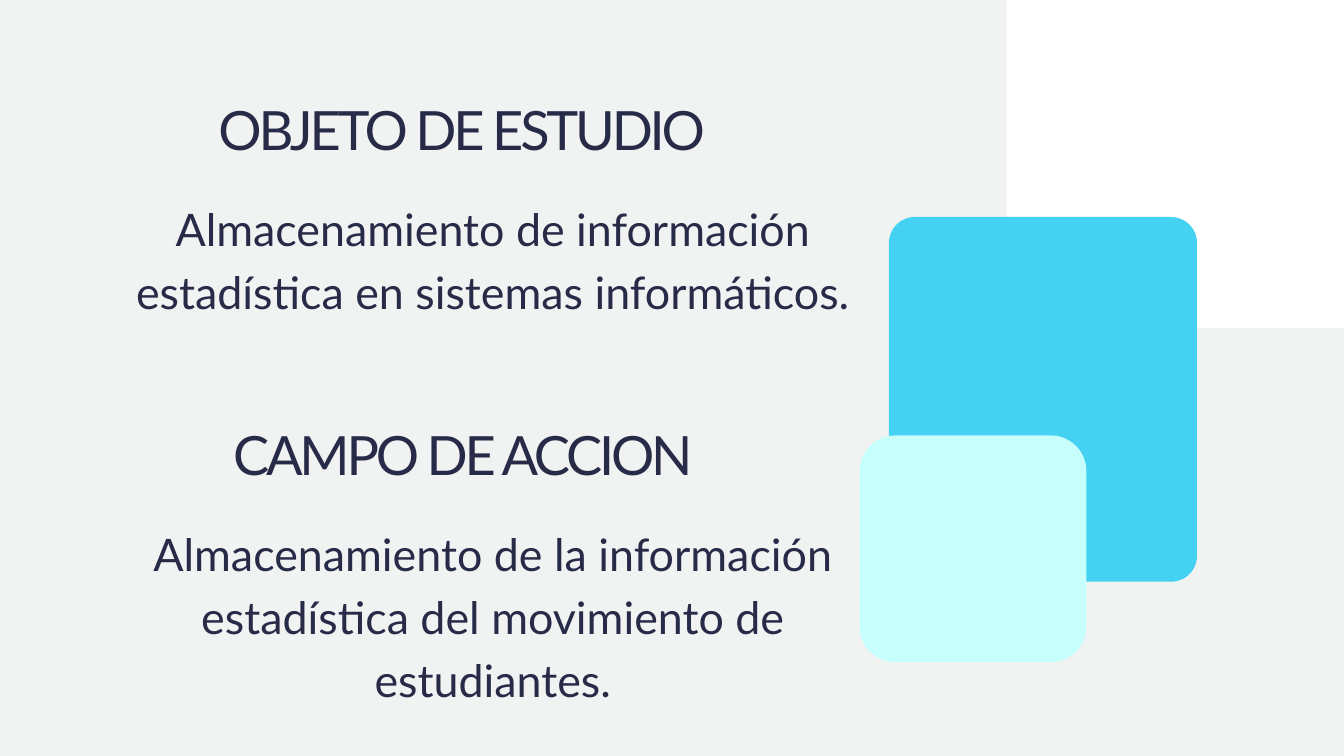
import pptx
import pptx.util
import pptx.dml.color
import pptx.enum.shapes
import pptx.enum.text

PX = 9525
NAVY = "272B47"


def color(value):
    return pptx.dml.color.RGBColor.from_string(value)


def write(tf, text, size=48, fill=NAVY, font="Lato", align="LEFT", leading=1.4, spacing=0):
    p = tf.paragraphs[0]
    p.alignment = getattr(pptx.enum.text.PP_ALIGN, align)
    p.line_spacing = pptx.util.Pt(round(size * leading, 1))
    r = p.add_run()
    r.text = text
    r.font.size = pptx.util.Pt(size)
    r.font.name = font
    r.font.color.rgb = color(fill)
    if spacing:
        r.font._element.set("spc", str(round(spacing * 100)))


class Deck:
    """Holds the presentation style and the current slide."""

    def __init__(self, width, height, background):
        self.prs = pptx.Presentation()
        self.prs.slide_width = width * PX
        self.prs.slide_height = height * PX
        self.s = self.prs.slides.add_slide(self.prs.slide_layouts[6])
        self.s.background.fill.solid()
        self.s.background.fill.fore_color.rgb = color(background)

    def card(self, x, y, w, h, radius, fill):
        sp = self.s.shapes.add_shape(
            pptx.enum.shapes.MSO_SHAPE.ROUNDED_RECTANGLE, x * PX, y * PX, w * PX, h * PX)
        sp.adjustments[0] = radius / min(w, h)
        sp.shadow.inherit = False
        sp.fill.solid()
        sp.fill.fore_color.rgb = color(fill)
        sp.line.fill.background()

    def text(self, x, y, w, h, text, **style):
        tf = self.s.shapes.add_textbox(x * PX, y * PX, w * PX, h * PX).text_frame
        tf.word_wrap = True
        tf.auto_size = pptx.enum.text.MSO_AUTO_SIZE.SHAPE_TO_FIT_TEXT
        tf.margin_left = tf.margin_right = tf.margin_top = tf.margin_bottom = 0
        write(tf, text, **style)

    def heading(self, x, y, w, text):
        self.text(x, y, w, 104, text, size=58, spacing=-3.4)

    def body(self, y, text):
        self.text(180, y, 1048, 264, text, align="CENTER")


def main():
    deck = Deck(1920, 1080, "F1F2F2")
    deck.card(1438, -88, 554, 557, 30, "FFFFFF")
    deck.card(1270, 310, 440, 521, 37, "45D1F2")
    deck.card(1228, 622, 324, 324, 51, "C6FFFC")
    deck.body(276, "Almacenamiento de información estadística en sistemas informáticos.")
    deck.heading(312, 122, 783, "OBJETO DE ESTUDIO")
    deck.heading(333, 586, 740, "CAMPO DE ACCION")
    deck.body(740, "Almacenamiento de la información estadística del movimiento de estudiantes.")
    deck.prs.save("out.pptx")


if __name__ == "__main__":
    main()
